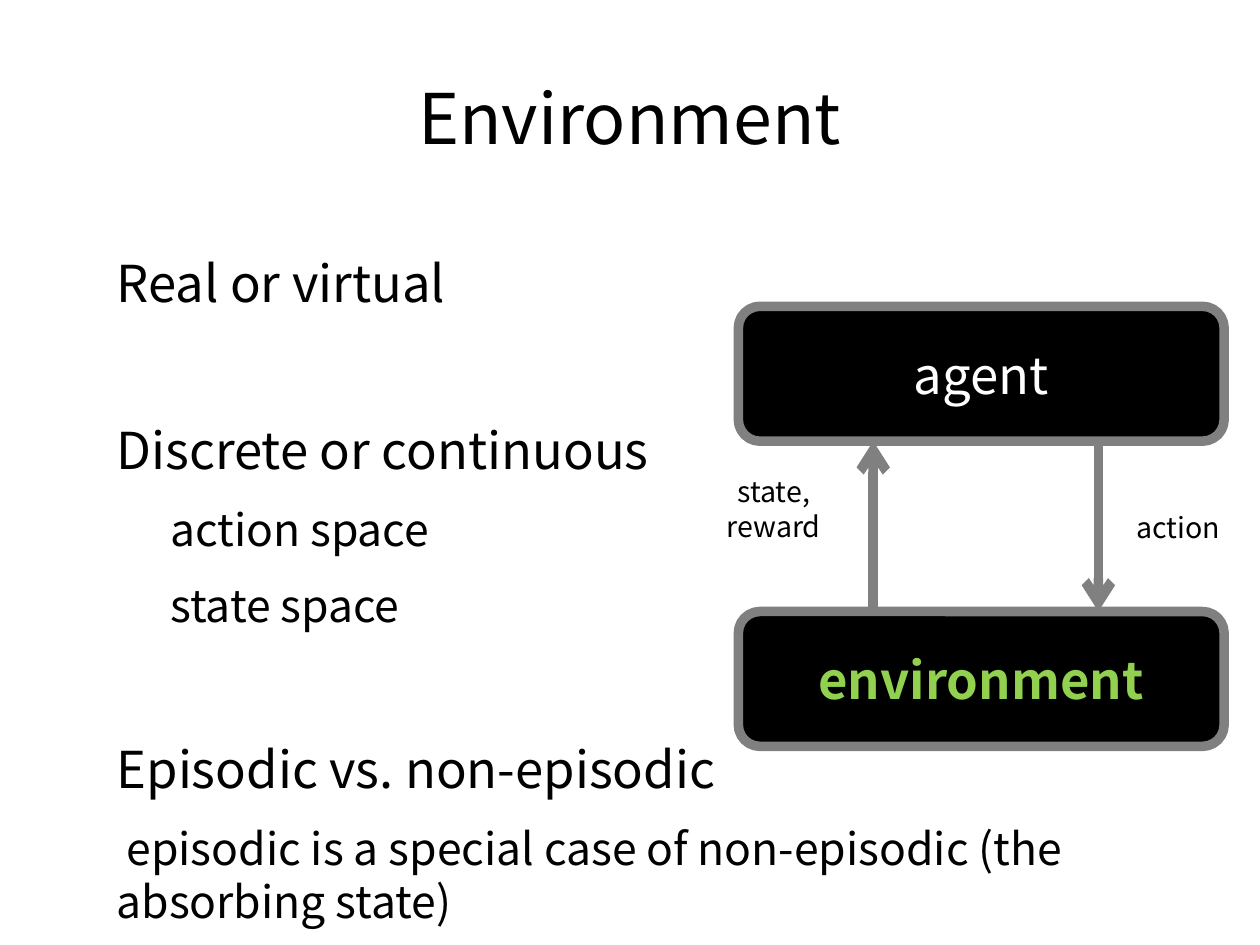
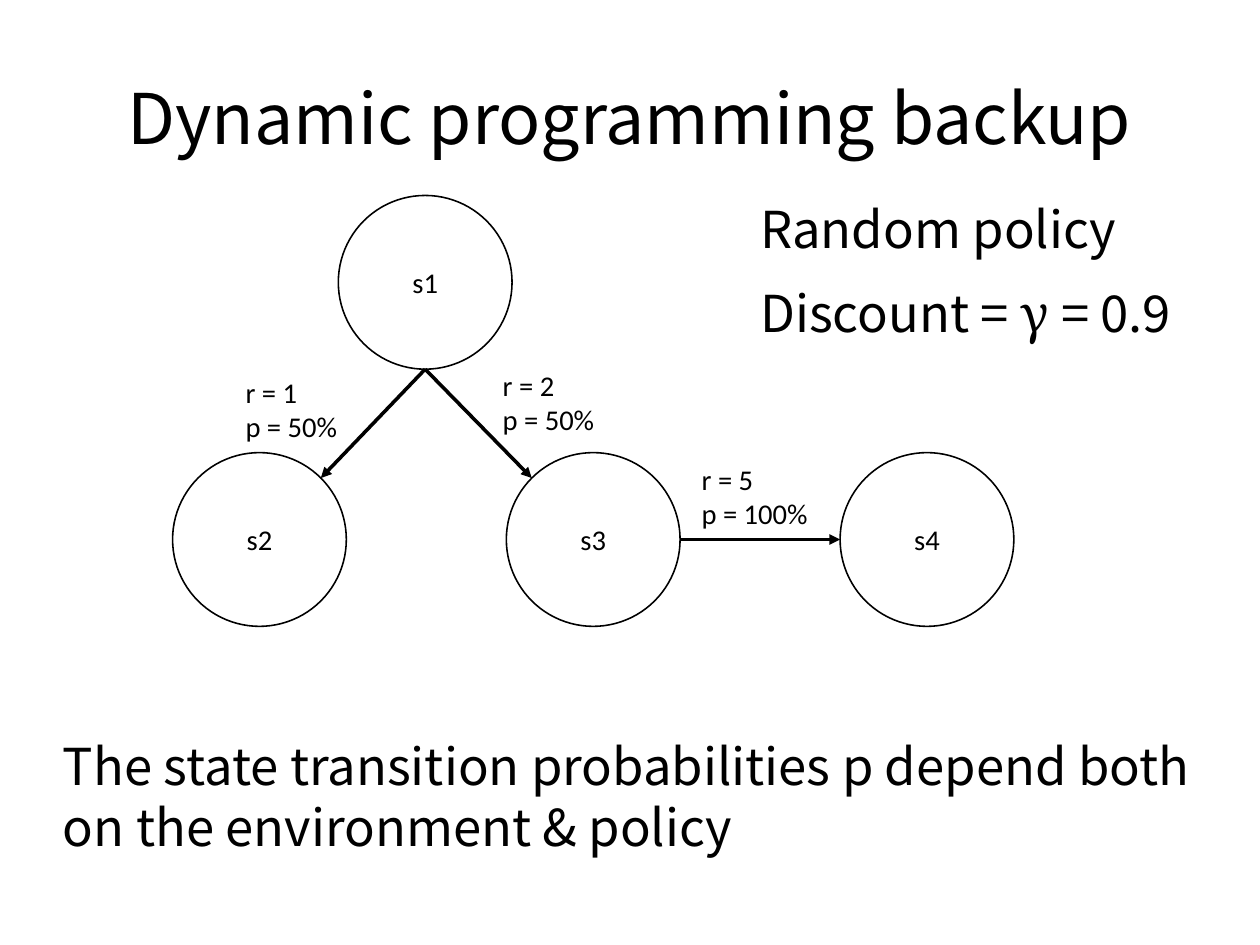
import math
from dataclasses import dataclass
from typing import Any, Sequence

import pptx
import pptx.dml.color
import pptx.enum.shapes
import pptx.enum.text
import pptx.oxml.ns
import pptx.util
from lxml import etree

RGBColor = pptx.dml.color.RGBColor
ALIGN = pptx.enum.text.PP_ALIGN
ANCHOR = pptx.enum.text.MSO_ANCHOR
SHAPE = pptx.enum.shapes.MSO_SHAPE
Pt = pptx.util.Pt

BLACK = RGBColor(0x00, 0x00, 0x00)
WHITE = RGBColor(0xFF, 0xFF, 0xFF)
GREY = RGBColor(0x80, 0x80, 0x80)
GREEN = RGBColor(0x92, 0xD0, 0x50)

SANS, SMALL, GREEK = "Noto Sans CJK JP", "Calibri", "Cambria"

SLIDE_WIDTH, SLIDE_HEIGHT = pptx.util.Cm(28), pptx.util.Cm(21)

# Square grid: ten columns or rows to the inch
MARGIN = 5.5
CONTENT_COLS = 99.2
GAP = 14.2
SECTION_GAP = 66.8
INDENT = 4.7

DIAMETER = 15.2
RADIUS = DIAMETER / 2


@dataclass(frozen=True)
class Box:
    col: float
    row: float
    cols: float
    rows: float

    def lengths(self) -> tuple[int, int, int, int]:
        return grid(self.col), grid(self.row), grid(self.cols), grid(self.rows)


@dataclass(frozen=True)
class Run:
    text: str
    size: float = 32
    color: RGBColor = BLACK
    font: str = SANS
    bold: bool = False


@dataclass(frozen=True)
class Para:
    runs: Sequence[Run]
    before: float = 0
    level: int = 0


@dataclass(frozen=True)
class State:
    name: str
    col: float
    row: float

    def rim(self, degrees: float) -> tuple[float, float]:
        """Point on the circle, clockwise from the right."""
        a = math.radians(degrees)
        return (self.col + RADIUS * (1 + math.cos(a)),
                self.row + RADIUS * (1 + math.sin(a)))


@dataclass(frozen=True)
class Transition:
    start: tuple[float, float]
    end: tuple[float, float]
    reward: int
    chance: str
    label_col: float
    label_row: float


def grid(n: float) -> int:
    return pptx.util.Inches(n / 10)


def write(sp: Any, paras: Sequence[Para], align: ALIGN = ALIGN.LEFT,
          anchor: ANCHOR = ANCHOR.TOP, inset: float = 0, wrap: bool = True) -> None:
    """Fill a shape with paragraphs; inset is in grid columns."""
    tf = sp.text_frame
    tf.word_wrap = wrap
    tf.vertical_anchor = anchor
    tf.margin_left = tf.margin_right = grid(inset)
    tf.margin_top = tf.margin_bottom = grid(inset / 2)
    for i, para in enumerate(paras):
        p = tf.paragraphs[0] if i == 0 else tf.add_paragraph()
        p.alignment = align
        p.space_before = Pt(para.before)
        if para.level:
            p._p.get_or_add_pPr().set("marL", str(grid(INDENT * para.level)))
        for run in para.runs:
            r = p.add_run()
            r.text = run.text
            r.font.name = run.font
            r.font.size = Pt(run.size)
            r.font.bold = run.bold
            r.font.color.rgb = run.color


def add_text(s: Any, box: Box, paras: Sequence[Para], **layout: Any) -> None:
    write(s.shapes.add_textbox(*box.lengths()), paras, **layout)


def add_arrow(s: Any, start: tuple[float, float], end: tuple[float, float],
              color: RGBColor, width: float, head: str) -> None:
    line = s.shapes.add_connector(
        pptx.enum.shapes.MSO_CONNECTOR.STRAIGHT, *map(grid, start + end))
    line.line.color.rgb = color
    line.line.width = Pt(width)
    qn = pptx.oxml.ns.qn
    etree.SubElement(line.line._get_or_add_ln(), qn("a:tailEnd"), type=head)
    etree.SubElement(line._element.spPr, qn("a:effectLst"))


def add_block(s: Any, box: Box, run: Run) -> None:
    sp = s.shapes.add_shape(SHAPE.ROUNDED_RECTANGLE, *box.lengths())
    sp.shadow.inherit = False
    sp.adjustments[0] = 0.16
    sp.fill.solid()
    sp.fill.fore_color.rgb = BLACK
    sp.line.color.rgb = GREY
    sp.line.width = Pt(6)
    write(sp, [Para([run])], ALIGN.CENTER, ANCHOR.MIDDLE, 1.4, False)


def add_state(s: Any, state: State) -> None:
    box = Box(state.col, state.row, DIAMETER, DIAMETER)
    sp = s.shapes.add_shape(SHAPE.OVAL, *box.lengths())
    sp.shadow.inherit = False
    sp.fill.background()
    sp.line.color.rgb = BLACK
    sp.line.width = Pt(1)
    write(sp, [Para([Run(state.name, 18, font=SMALL)])],
          ALIGN.CENTER, ANCHOR.MIDDLE, 1)


def add_transition(s: Any, t: Transition) -> None:
    add_arrow(s, t.start, t.end, BLACK, 2.25, "triangle")
    lines = (f"r = {t.reward}", f"p = {t.chance}")
    add_text(s, Box(t.label_col, t.label_row, 12.1, 7.1),
             [Para([Run(text, 18, font=SMALL)]) for text in lines], inset=1)


def add_titled_slide(prs: Any, title: str) -> Any:
    s = prs.slides.add_slide(prs.slide_layouts[6])
    add_text(s, Box(MARGIN, 3.3, CONTENT_COLS, 13.8),
             [Para([Run(title, 44)])], align=ALIGN.CENTER, anchor=ANCHOR.MIDDLE)
    return s


def build_environment(prs: Any) -> None:
    s = add_titled_slide(prs, "Environment")
    add_text(s, Box(MARGIN, 22, 103.1, 56.7), [
        Para([Run("Real or virtual")], 0, 1),
        Para([Run("Discrete or continuous")], SECTION_GAP, 1),
        Para([Run("action space", 28)], GAP, 2),
        Para([Run("state space", 28)], GAP, 2),
        Para([Run("Episodic vs. non-episodic")], SECTION_GAP, 1),
        Para([Run(" episodic is a special case of non-episodic "
                  "(the absorbing state)", 28)], GAP, 1),
    ])
    agent = Box(64.6, 26.8, 42.5, 11.8)
    environment = Box(64.6, 53.5, 42.5, 11.8)
    add_block(s, environment, Run("environment", color=GREEN, bold=True))
    add_block(s, agent, Run("agent", color=WHITE))

    top, bottom = agent.row + agent.rows, environment.row
    add_arrow(s, (76.4, bottom), (76.4, top), GREY, 6, "arrow")
    add_arrow(s, (96.1, top), (96.1, bottom), GREY, 6, "arrow")
    for col, row, lines in ((97.6, 39.4, ["action"]),
                            (62.2, 37.8, ["state,", "reward"])):
        add_text(s, Box(col, row, 11, 13.4),
                 [Para([Run(text, 18)]) for text in lines],
                 align=ALIGN.CENTER, anchor=ANCHOR.MIDDLE, inset=1, wrap=False)


def build_backup(prs: Any) -> None:
    s = add_titled_slide(prs, "Dynamic programming backup")
    add_text(s, Box(MARGIN, 64.3, CONTENT_COLS, 14.5), [Para([Run(
        "The state transition probabilities p depend both "
        "on the environment & policy")])])
    s1 = State("s1", 29.6, 17.1)
    s2, s3, s4 = (State(f"s{i + 2}", 15.1 + 29.2 * i, 39.6) for i in range(3))
    for state in (s1, s2, s3, s4):
        add_state(s, state)
    for t in (
        Transition(s1.rim(90), s2.rim(-45), 1, "50%", 20.5, 32.3),
        Transition(s1.rim(90), s3.rim(-135), 2, "50%", 43, 31.7),
        Transition(s3.rim(0), s4.rim(180), 5, "100%", 60.4, 39.9),
    ):
        add_transition(s, t)
    add_text(s, Box(66.5, 17.3, 40.9, 15.2), [
        Para([Run("Random policy")]),
        Para([Run("Discount = "), Run("γ", font=GREEK), Run(" = 0.9")], GAP),
    ])


def main() -> None:
    prs = pptx.Presentation()
    prs.slide_width, prs.slide_height = SLIDE_WIDTH, SLIDE_HEIGHT
    build_environment(prs)
    build_backup(prs)
    prs.save("out.pptx")


if __name__ == "__main__":
    main()
